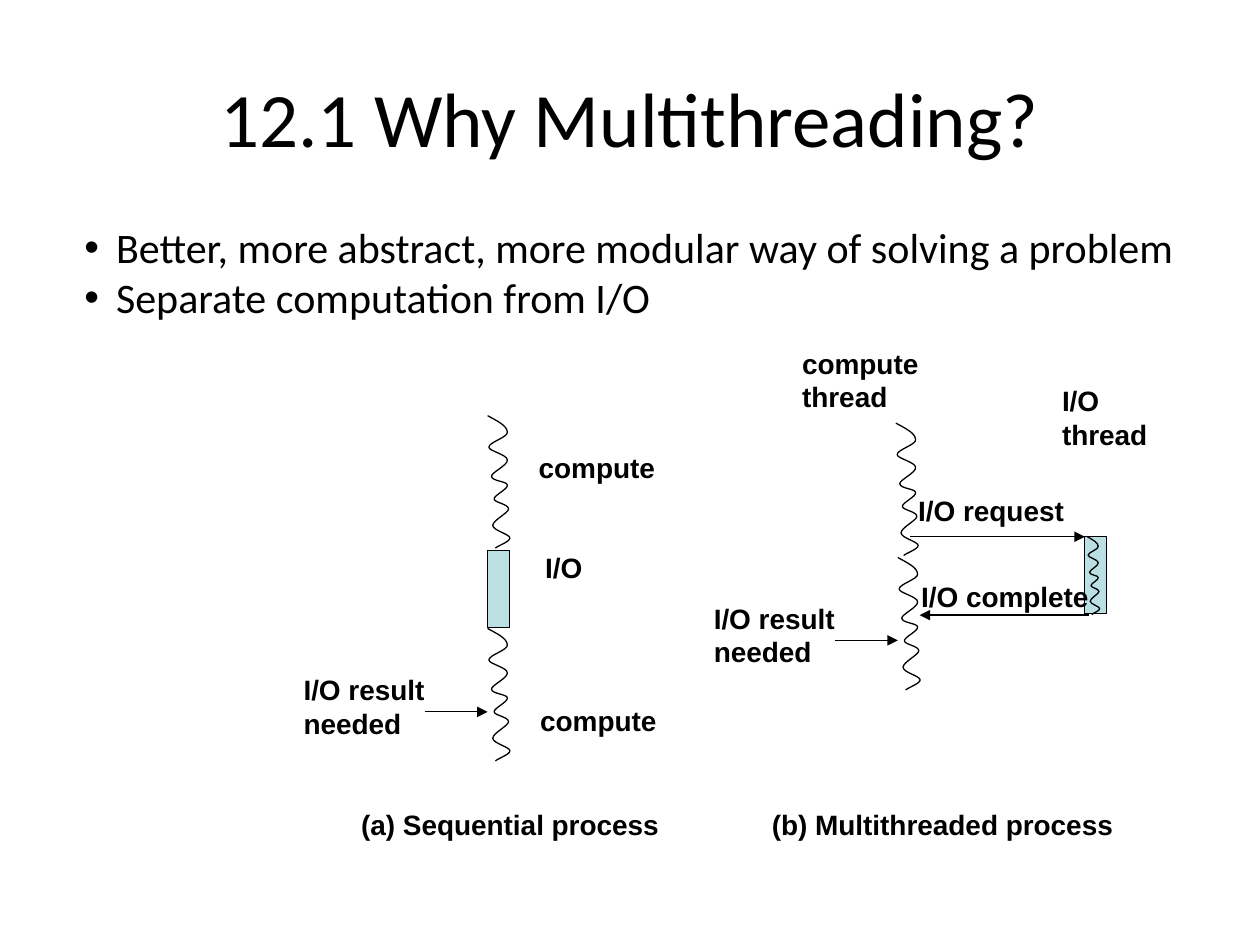
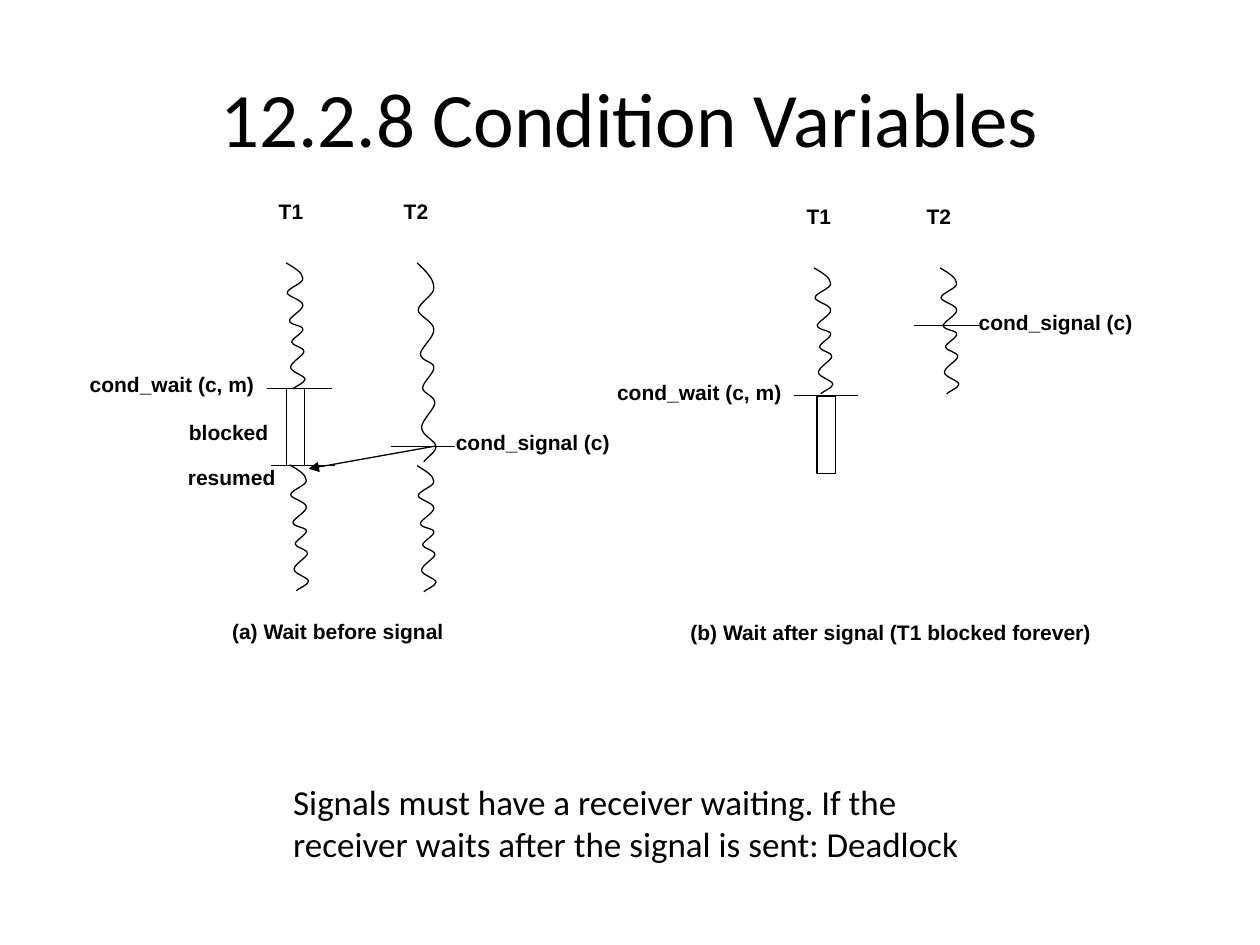
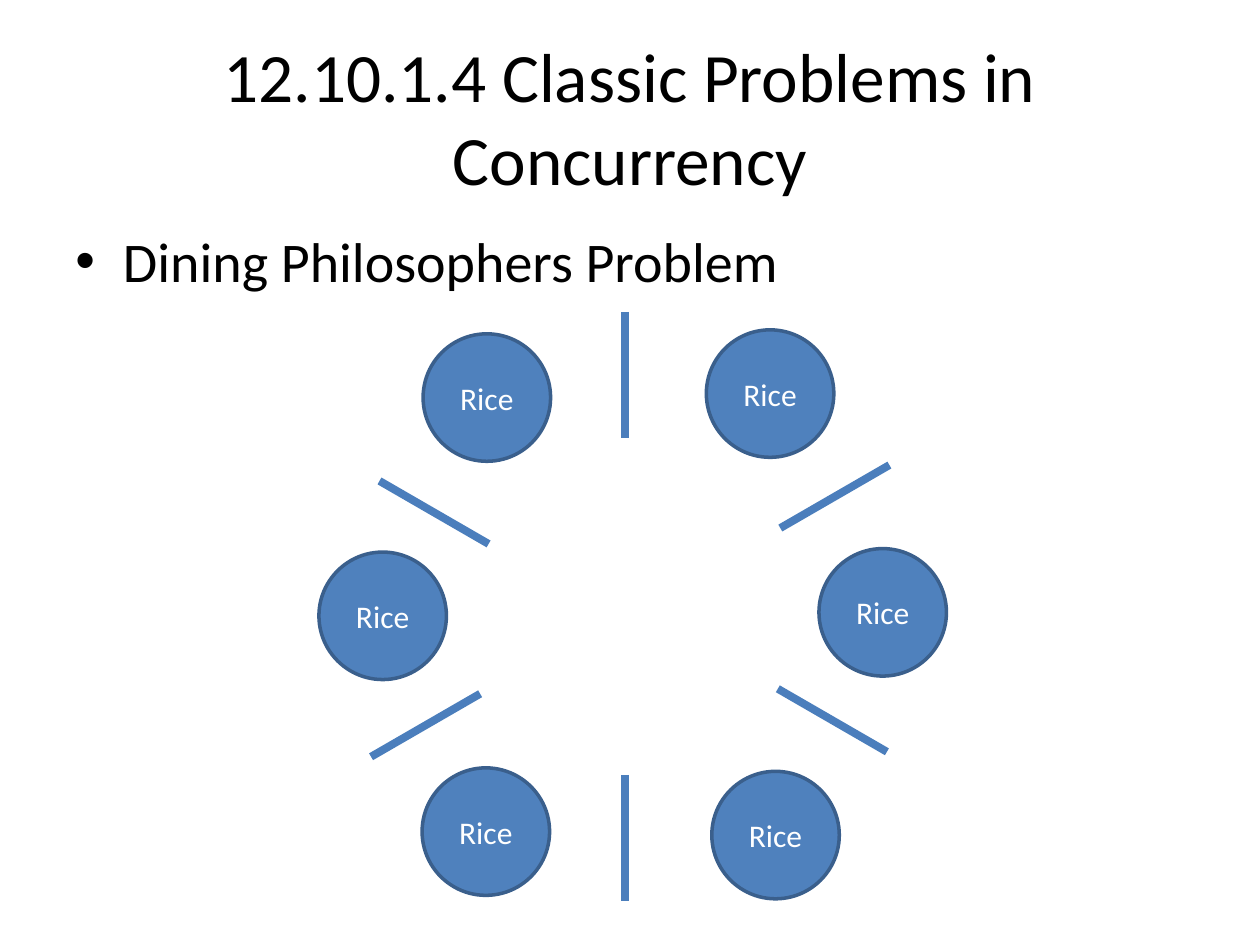
import pptx
import pptx.dml.color
import pptx.enum.shapes
import pptx.enum.text
import pptx.oxml.ns
import pptx.util
import lxml.etree
import math

Cm = pptx.util.Cm
Pt = pptx.util.Pt
qn = pptx.oxml.ns.qn
MSO_SHAPE = pptx.enum.shapes.MSO_SHAPE
ALIGN = pptx.enum.text.PP_ALIGN
ANCHOR = pptx.enum.text.MSO_ANCHOR

COLORS = {
    "text": "000000",
    "line": "000000",
    "io": "BBE0E3",
    "plate": "4F81BD",
    "plate_edge": "3A5F8C",
    "chopstick": "4B7EBC",
    "plate_text": "FFFFFF",
}
BODY_FONT = "Calibri"
LABEL_FONT = "Arial"
THIN = 0.75
TITLE_BOX = (1.27, 0.76, 22.86, 3.18)

WAVE_SIZE = (17, 105)
WAVE_CURVES = [
    ((7, 4), (15, 8), (15, 13)),
    ((16, 17), (1, 21), (1, 25)),
    ((1, 28), (15, 31), (15, 35)),
    ((16, 39), (3, 45), (3, 48)),
    ((3, 52), (15, 52), (15, 55)),
    ((16, 58), (5, 63), (5, 66)),
    ((5, 69), (16, 70), (16, 74)),
    ((16, 77), (4, 83), (4, 87)),
    ((4, 91), (17, 94), (17, 97)),
    ((17, 100), (8, 103), (6, 105)),
]

THREADING = {
    "title": "12.1 Why Multithreading?",
    "bullets": [
        "Better, more abstract, more modular way of solving a problem",
        "Separate computation from I/O",
    ],
    "waves": [
        (9.83, 8.38, 0.45, 2.67),
        (9.83, 12.67, 0.45, 2.67),
        (18.06, 8.53, 0.45, 2.67),
        (18.1, 11.24, 0.45, 2.67),
        (21.92, 10.82, 0.25, 1.57),
    ],
    "blocks": [(9.83, 11.1, 0.45, 1.55), (21.87, 10.82, 0.44, 1.55)],
    "arrows": [
        (8.56, 14.35, 9.83, 14.35),
        (16.84, 12.91, 18.1, 12.91),
        (18.34, 10.82, 21.87, 10.82),
        (21.95, 12.4, 18.54, 12.4),
    ],
    "labels": [
        (["compute"], 10.68, 9, 2.97),
        (["compute"], 10.71, 14.1, 3.3),
        (["I/O"], 10.81, 11.02, 1.5),
        (["I/O result", "needed"], 5.94, 13.48, 3.05),
        (["(a) Sequential process"], 7.1, 16.19, 6.47),
        (["compute", "thread"], 15.99, 6.9, 3.05),
        (["I/O result", "needed"], 14.21, 12.04, 3.05),
        (["(b) Multithreaded process"], 15.38, 16.19, 7.3),
        (["I/O request"], 18.33, 9.86, 3.58),
        (["I/O complete"], 18.39, 11.61, 4.19),
        (["I/O", "thread"], 21.23, 7.66, 2.34),
    ],
}

CONDITIONS = {
    "title": "12.2.8 Condition Variables",
    "note": [
        "Signals must have a receiver waiting. If the",
        "receiver waits after the signal is sent: Deadlock",
    ],
    "waves": [
        (5.77, 5.3, 0.38, 2.54),
        (8.41, 5.3, 0.38, 4.01),
        (5.84, 9.37, 0.38, 2.54),
        (8.41, 9.39, 0.38, 2.54),
        (16.41, 5.4, 0.38, 2.54),
        (18.95, 5.4, 0.38, 2.54),
    ],
    "blocks": [(5.77, 7.83, 0.37, 1.55), (16.47, 7.99, 0.38, 1.55)],
    "arrows": [(8.79, 8.99, 6.22, 9.45)],
    "marks": [(5.39, 7.83), (7.88, 9), (5.46, 9.38), (16, 7.97), (18.43, 6.56)],
    "labels": [
        (["T1"], 5.49, 3.93, 1.3),
        (["T2"], 8.01, 3.93, 1.55),
        (["cond_wait (c, m)"], 1.68, 7.42, 4.04),
        (["cond_signal (c)"], 9.06, 8.58, 3.81),
        (["blocked"], 3.68, 8.37, 2.31),
        (["resumed"], 3.66, 9.29, 2.46),
        (["T1"], 16.13, 4.03, 1.3),
        (["T2"], 18.55, 4.03, 1.55),
        (["cond_wait (c, m)"], 12.31, 7.58, 4.04),
        (["cond_signal (c)"], 19.6, 6.17, 3.81),
        (["(a) Wait before signal"], 4.55, 12.39, 5),
        (["(b) Wait after signal (T1 blocked forever)"], 13.79, 12.41, 8.86),
    ],
}
MARK_LENGTH = 1.3

PHILOSOPHERS = {
    "title": "12.10.1.4 Classic Problems in Concurrency",
    "bullets": ["Dining Philosophers Problem"],
    "plates": [
        (14.35, 15.55),
        (8.51, 15.48),
        (6.43, 11.13),
        (16.51, 11.06),
        (14.24, 6.65),
        (8.53, 6.73),
    ],
    "chopsticks": [
        (16.78, 14.52, 30),
        (12.6, 7.56, 90),
        (8.75, 10.33, 30),
        (16.83, 10.01, -30),
        (8.58, 14.62, -30),
        (12.6, 16.89, 90),
    ],
}
PLATE_SIZE = 2.57
CHOPSTICK_LENGTH = 2.54


def color(name):
    return pptx.dml.color.RGBColor.from_string(COLORS[name])


def add_bullet(paragraph, indent):
    properties = paragraph._p.get_or_add_pPr()
    properties.set("marL", str(Cm(indent)))
    properties.set("indent", str(-Cm(indent)))
    bullet_font = lxml.etree.SubElement(properties, qn("a:buFont"))
    bullet_font.set("typeface", LABEL_FONT)
    bullet = lxml.etree.SubElement(properties, qn("a:buChar"))
    bullet.set("char", "•")


def write(shape, lines, size, font=BODY_FONT, bold=False, ink="text",
          align=ALIGN.LEFT, indent=None):
    frame = shape.text_frame
    frame.word_wrap = True
    for index, line in enumerate(lines):
        paragraph = frame.add_paragraph() if index else frame.paragraphs[0]
        paragraph.alignment = align
        if indent:
            add_bullet(paragraph, indent)
        run = paragraph.add_run()
        run.text = line
        run.font.name = font
        run.font.size = Pt(size)
        run.font.bold = bold
        run.font.color.rgb = color(ink)


def add_text(slide, lines, box, size, **style):
    shape = slide.shapes.add_textbox(*(Cm(length) for length in box))
    write(shape, lines, size, **style)
    return shape


def add_title_slide(presentation, title, size=44):
    slide = presentation.slides.add_slide(presentation.slide_layouts[6])
    shape = add_text(slide, [title], TITLE_BOX, size, align=ALIGN.CENTER)
    shape.text_frame.vertical_anchor = ANCHOR.MIDDLE
    return slide


def add_labels(slide, labels, size, side_inset, line_height):
    for lines, left, top, width in labels:
        height = 0.2 + line_height * len(lines)
        shape = add_text(slide, lines, (left, top, width, height), size,
                         font=LABEL_FONT, bold=True)
        frame = shape.text_frame
        frame.margin_left = frame.margin_right = Cm(side_inset)
        frame.margin_top = frame.margin_bottom = Cm(0.08)


def paint(shape, fill, line, width):
    shape.shadow.inherit = False
    if fill:
        shape.fill.solid()
        shape.fill.fore_color.rgb = color(fill)
    else:
        shape.fill.background()
    shape.line.color.rgb = color(line)
    shape.line.width = Pt(width)


def add_preset(slide, preset, box, fill, line="line", width=THIN):
    shape = slide.shapes.add_shape(preset, *(Cm(length) for length in box))
    paint(shape, fill, line, width)
    return shape


def add_wave(slide, left, top, width, height):
    def scaled(point):
        return (Cm(point[0] * width / WAVE_SIZE[0]),
                Cm(point[1] * height / WAVE_SIZE[1]))

    builder = slide.shapes.build_freeform(0, 0)
    builder.add_line_segments([scaled(curve[-1]) for curve in WAVE_CURVES], close=False)
    shape = builder.convert_to_shape(Cm(left), Cm(top))
    segments = list(shape._element.iter(qn("a:lnTo")))
    for segment, curve in zip(segments, WAVE_CURVES):
        bezier = lxml.etree.Element(qn("a:cubicBezTo"))
        for point in curve:
            x, y = scaled(point)
            lxml.etree.SubElement(bezier, qn("a:pt"), x=str(x), y=str(y))
        segment.getparent().replace(segment, bezier)
    paint(shape, None, "line", THIN)


def add_line(slide, ends, ink="line", width=THIN, arrow=False):
    connector = slide.shapes.add_connector(
        pptx.enum.shapes.MSO_CONNECTOR.STRAIGHT, *(Cm(length) for length in ends))
    connector.line.color.rgb = color(ink)
    connector.line.width = Pt(width)
    if arrow:
        outline = connector.line._get_or_add_ln()
        tail = lxml.etree.SubElement(outline, qn("a:tailEnd"))
        tail.set("type", "triangle")
    lxml.etree.SubElement(connector._element.spPr, qn("a:effectLst"))


def add_thread_diagram(slide, content, block_fill):
    for box in content["blocks"]:
        add_preset(slide, MSO_SHAPE.RECTANGLE, box, block_fill)
    for box in content["waves"]:
        add_wave(slide, *box)
    for ends in content["arrows"]:
        add_line(slide, ends, arrow=True)


def build_threading(presentation):
    slide = add_title_slide(presentation, THREADING["title"])
    add_thread_diagram(slide, THREADING, "io")
    add_labels(slide, THREADING["labels"], 16, 0.18, 0.65)
    add_text(slide, THREADING["bullets"], (1.45, 4.34, 22.68, 3.33), 24, indent=0.64)


def build_conditions(presentation):
    slide = add_title_slide(presentation, CONDITIONS["title"])
    add_thread_diagram(slide, CONDITIONS, None)
    for left, top in CONDITIONS["marks"]:
        add_line(slide, (left, top, left + MARK_LENGTH, top))
    add_labels(slide, CONDITIONS["labels"], 12, 0.13, 0.61)
    add_text(slide, CONDITIONS["note"], (5.66, 15.6, 14.2, 1.96), 20)


def build_philosophers(presentation):
    slide = add_title_slide(presentation, PHILOSOPHERS["title"], 39.6)
    add_text(slide, PHILOSOPHERS["bullets"], (1.27, 4.45, 22.86, 2.16), 32, indent=0.96)
    for left, top in PHILOSOPHERS["plates"]:
        plate = add_preset(slide, MSO_SHAPE.OVAL, (left, top, PLATE_SIZE, PLATE_SIZE),
                           "plate", "plate_edge", 2)
        plate.text_frame.vertical_anchor = ANCHOR.MIDDLE
        write(plate, ["Rice"], 18, ink="plate_text", align=ALIGN.CENTER)
    for x, y, angle in PHILOSOPHERS["chopsticks"]:
        dx = CHOPSTICK_LENGTH / 2 * math.cos(math.radians(angle))
        dy = CHOPSTICK_LENGTH / 2 * math.sin(math.radians(angle))
        add_line(slide, (x - dx, y - dy, x + dx, y + dy), "chopstick", 4.5)


def main():
    presentation = pptx.Presentation()
    presentation.slide_width = Cm(25.4)
    presentation.slide_height = Cm(19.05)
    build_threading(presentation)
    build_conditions(presentation)
    build_philosophers(presentation)
    presentation.save("out.pptx")


if __name__ == "__main__":
    main()
